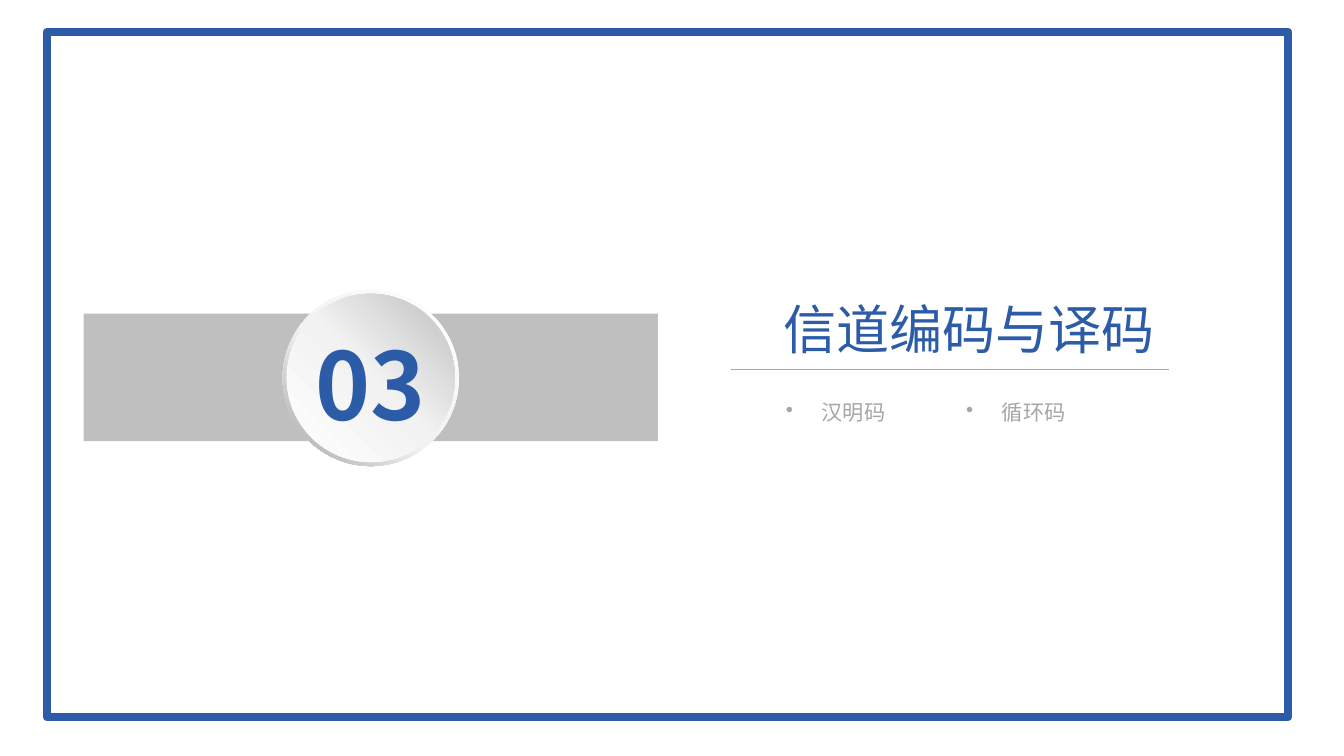
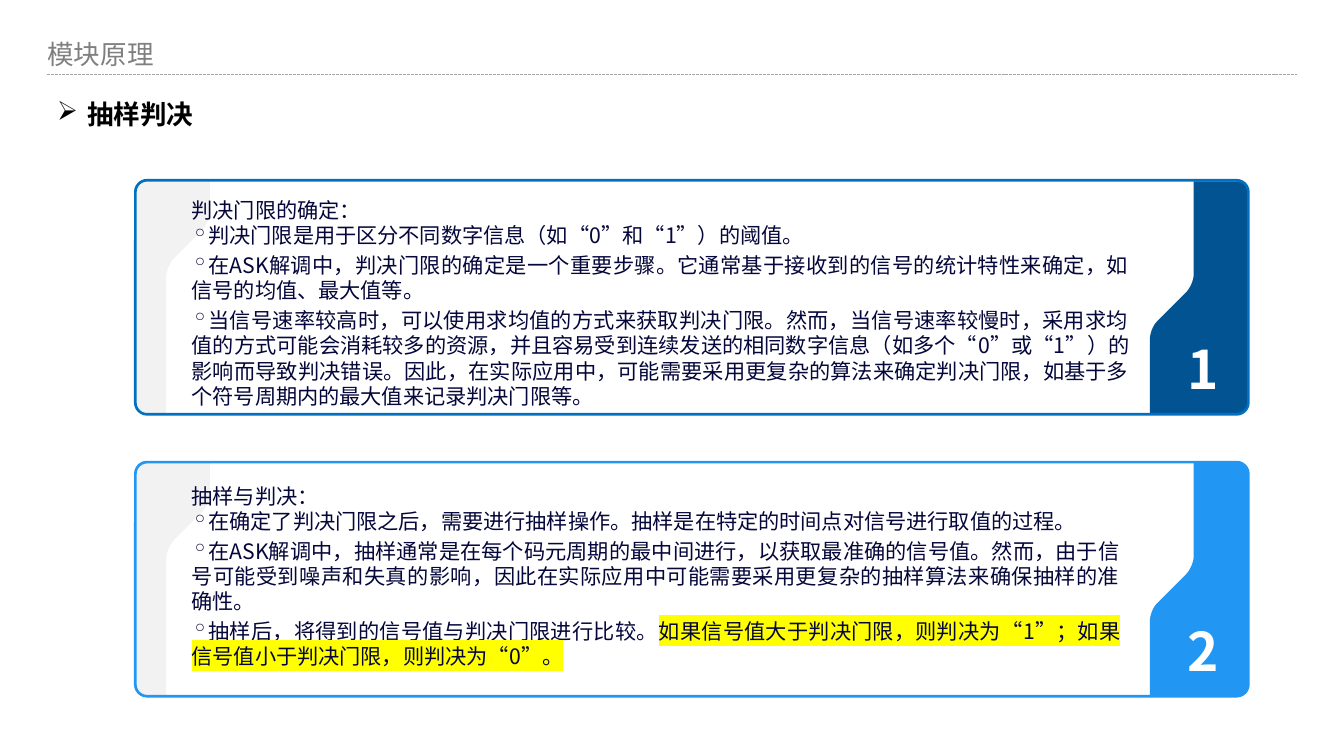
"""Build a section slide and a slide on sampling decisions."""
from copy import deepcopy

from lxml import etree
from pptx import Presentation
from pptx.dml.color import RGBColor
from pptx.enum.dml import MSO_LINE
from pptx.enum.shapes import MSO_CONNECTOR, MSO_SHAPE
from pptx.enum.text import MSO_ANCHOR, MSO_AUTO_SIZE, PP_ALIGN
from pptx.oxml.ns import qn
from pptx.util import Pt

PX = 9525
FONT = "Noto Sans CJK SC"
LEFT, CENTER, JUSTIFY = PP_ALIGN.LEFT, PP_ALIGN.CENTER, PP_ALIGN.JUSTIFY
TOP, MIDDLE = MSO_ANCHOR.TOP, MSO_ANCHOR.MIDDLE
STRAIGHT, SYS_DASH = MSO_CONNECTOR.STRAIGHT, MSO_LINE.SQUARE_DOT
RECT, ROUND_RECT = MSO_SHAPE.RECTANGLE, MSO_SHAPE.ROUNDED_RECTANGLE
DONUT, OVAL = MSO_SHAPE.DONUT, MSO_SHAPE.OVAL
COLORS = {
    "blue": "2C5CA8", "band": "BFBFBF", "rule": "A6A6A6", "title": "7F7F7F",
    "black": "000000", "white": "FFFFFF", "pale": "F2F2F2", "ink": "05073B",
    "navy": "015491", "azure": "0170C1", "sky": "2196F3", "mark": "FFFF00",
}
RGB = {name: RGBColor.from_string(code) for name, code in COLORS.items()}


def write(shape, box, paragraphs, size, color, align=LEFT, bold=False, bullet=None,
          hang=0, leading=1.26, anchor=TOP, wrap=True):
    """Place a text shape and fill it; the bullet skips the lead of a longer text."""
    shape.left, shape.top, shape.width, shape.height = [n * PX for n in box]
    frame = shape.text_frame
    frame.word_wrap, frame.auto_size = wrap, MSO_AUTO_SIZE.NONE
    frame.vertical_anchor = anchor
    for i, runs in enumerate(paragraphs):
        paragraph = frame.add_paragraph() if i else frame.paragraphs[0]
        paragraph.alignment = align
        paragraph.line_spacing = Pt(round(size * leading, 1))
        paragraph.space_before = Pt(3 if i > 1 else 0)
        if bullet and (i or len(paragraphs) == 1):
            props = paragraph._p.get_or_add_pPr()
            props.set("marL", str(hang * PX))
            props.set("indent", str(-hang * PX))
            etree.SubElement(props, qn("a:buChar"), char=bullet)
        font = paragraph.font
        font.size, font.bold, font.name = Pt(size), bold, FONT
        font.color.rgb = RGB[color]
        defaults = paragraph._p.pPr.find(qn("a:defRPr"))
        etree.SubElement(defaults, qn("a:ea"), typeface=FONT)
        for j, words in enumerate(runs):
            run = paragraph.add_run()
            run.text = words
            if j:
                mark = etree.SubElement(run._r.get_or_add_rPr(), qn("a:highlight"))
                etree.SubElement(mark, qn("a:srgbClr"), val=COLORS["mark"])


def add_outline(slide, kind, box, fill=None, line=None, weight=0):
    """Add a preset shape with an optional fill and border."""
    shape = slide.shapes.add_shape(kind, *[n * PX for n in box])
    shape.shadow.inherit = False
    if fill:
        shape.fill.solid()
        shape.fill.fore_color.rgb = RGB[fill]
    else:
        shape.fill.background()
    if line:
        shape.line.color.rgb = RGB[line]
        shape.line.width = Pt(weight)
    else:
        shape.line.fill.background()
    return shape


prs = Presentation()
prs.slide_width, prs.slide_height = 1350 * PX, 759 * PX
section, principle = [prs.slides.add_slide(prs.slide_layouts[5]) for _ in range(2)]

rules = [(section, 734, 1174, 371, None), (principle, 47, 1303, 75, SYS_DASH)]
for slide, start, end, y, dash in rules:
    rule = slide.shapes.add_connector(STRAIGHT, start * PX, y * PX, end * PX, y * PX)
    rule.line.color.rgb = RGB["rule"]
    rule.line.width = Pt(0.75)
    if dash:
        rule.line.dash_style = dash
    etree.SubElement(rule._element.spPr, qn("a:effectLst"))

add_outline(section, RECT, (47, 32, 1247, 688), line="blue", weight=6)
add_outline(section, RECT, (84, 315, 577, 128), fill="band")
discs = [
    (DONUT, (284, 291, 177, 177), 225, [(0, "white"), (0.55, "pale"), (1, "rule")]),
    (OVAL, (288, 295, 169, 169), 45, [(0, "white"), (0.51, "pale"), (1, "band")]),
]
for kind, box, angle, shades in discs:
    disc = add_outline(section, kind, box)
    if kind == DONUT:
        disc.adjustments[0] = 0.05
    disc.fill.gradient()
    disc.fill.gradient_angle = angle
    stop_list = disc._element.spPr.find(".//" + qn("a:gsLst"))
    stop_list.append(deepcopy(stop_list[0]))
    for stop, (position, shade) in zip(disc.fill.gradient_stops, shades):
        stop.position = position
        stop.color.rgb = RGB[shade]

number = section.shapes.add_textbox(0, 0, 0, 0)
write(number, (306, 323, 133, 113), [["03"]], 70.3, "blue", CENTER, bold=True)
frame = number.text_frame
frame.margin_left = frame.margin_right = frame.margin_top = frame.margin_bottom = 0
write(section.shapes.title, (772, 290, 402, 74), [["信道编码与译码"]], 40, "blue", CENTER)
for i, topic in enumerate(["汉明码", "循环码"]):
    write(section.shapes.add_textbox(0, 0, 0, 0), (780 + 181 * i, 395, 119, 36),
          [[topic]], 16, "rule", bullet="•", hang=36, wrap=False)

write(principle.shapes.title, (38, 33, 322, 40), [["模块原理"]], 20, "title", anchor=MIDDLE)
write(principle.shapes.add_textbox(0, 0, 0, 0), (48, 92, 619, 42), [["抽样判决"]],
      20, "black", bold=True, bullet="➢", hang=30)

CARD_X, CARD_Y, CARD_W, CARD_H, CARD_PITCH = 136, 181, 1118, 235, 283
number_tab = [
    (1108, 235), (1113, 235, 1118, 230, 1118, 225), (1118, 11),
    (1118, 5, 1113, 1, 1108, 1), (1063, 1), (1063, 95),
    (1063, 101, 1059, 109, 1055, 113), (1026, 142),
    (1022, 146, 1019, 154, 1019, 160), (1019, 235),
]
pale_edge = [
    (11, 1), (5, 1, 0, 6, 0, 12), (0, 225), (0, 230, 5, 235, 11, 235), (31, 235),
    (31, 97), (31, 90, 35, 83, 38, 79), (67, 50), (71, 46, 75, 37, 75, 32), (75, 1),
]
cards = [
    ("navy", "azure", (183, 193, 961, 225), [
        ["判决门限的确定："],
        ["判决门限是用于区分不同数字信息（如“0”和“1”）的阈值。"],
        ["在ASK解调中，判决门限的确定是一个重要步骤。它通常基于接收到的信号的统计特性来确定，"
         "如信号的均值、最大值等。"],
        ["当信号速率较高时，可以使用求均值的方式来获取判决门限。然而，当信号速率较慢时，"
         "采用求均值的方式可能会消耗较多的资源，并且容易受到连续发送的相同数字信息"
         "（如多个“0”或“1”）的影响而导致判决错误。因此，在实际应用中，"
         "可能需要采用更复杂的算法来确定判决门限，如基于多个符号周期内的最大值来记录判决门限等。"],
    ]),
    ("sky", "sky", (183, 480, 952, 199), [
        ["抽样与判决："],
        ["在确定了判决门限之后，需要进行抽样操作。抽样是在特定的时间点对信号进行取值的过程。"],
        ["在ASK解调中，抽样通常是在每个码元周期的最中间进行，以获取最准确的信号值。然而，"
         "由于信号可能受到噪声和失真的影响，因此在实际应用中可能需要采用更复杂的抽样算法"
         "来确保抽样的准确性。"],
        ["抽样后，将得到的信号值与判决门限进行比较。",
         "如果信号值大于判决门限，则判决为“1”；如果信号值小于判决门限，则判决为“0”。"],
    ]),
]
for i, (tab_color, border, text_box, paragraphs) in enumerate(cards):
    y = CARD_Y + CARD_PITCH * i
    for outline, color in [(number_tab, tab_color), (pale_edge, "pale")]:
        points = []
        for step in outline:
            if len(step) == 2:
                points.append(step)
                continue
            (x0, y0), (x1, y1, x2, y2, x3, y3) = points[-1], step
            for t in [n / 8 for n in range(1, 9)]:
                a, b, c, d = (1 - t) ** 3, 3 * t * (1 - t) ** 2, 3 * t * t * (1 - t), t ** 3
                points.append((a * x0 + b * x1 + c * x2 + d * x3,
                               a * y0 + b * y1 + c * y2 + d * y3))
        corners = [(round((CARD_X + px) * PX), round((y + py) * PX)) for px, py in points]
        builder = principle.shapes.build_freeform(*corners[0])
        builder.add_line_segments(corners[1:], close=True)
        panel = builder.convert_to_shape()
        panel.shadow.inherit = False
        panel.fill.solid()
        panel.fill.fore_color.rgb = RGB[color]
        panel.line.fill.background()
    card = add_outline(principle, ROUND_RECT, (CARD_X, y, CARD_W, CARD_H),
                       line=border, weight=2)
    card.adjustments[0] = 0.05
    write(principle.shapes.add_textbox(0, 0, 0, 0), (1163, y + 149, 92, 86),
          [[str(i + 1)]], 40, "white", CENTER, bold=True)
    write(principle.shapes.add_textbox(0, 0, 0, 0), text_box, paragraphs, 16, "ink",
          JUSTIFY, bullet="◦", leading=1.2)

prs.save("out.pptx")
